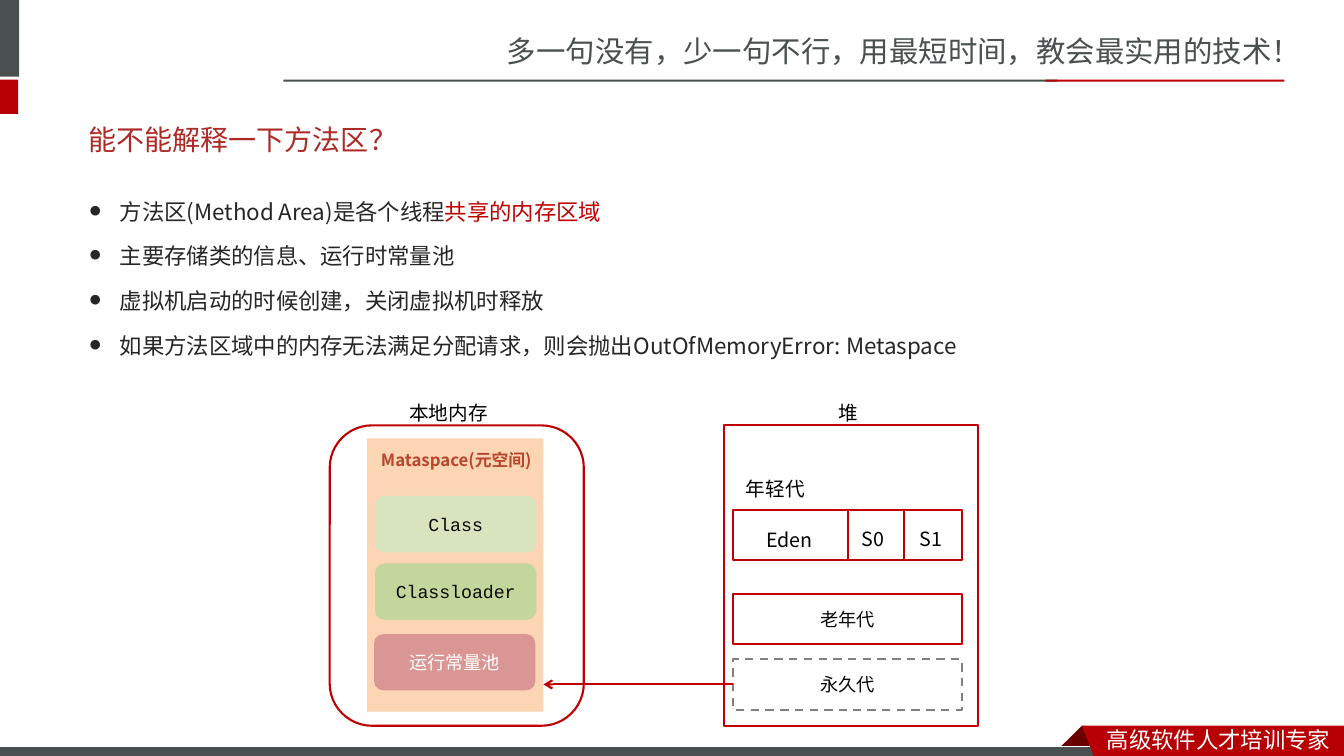
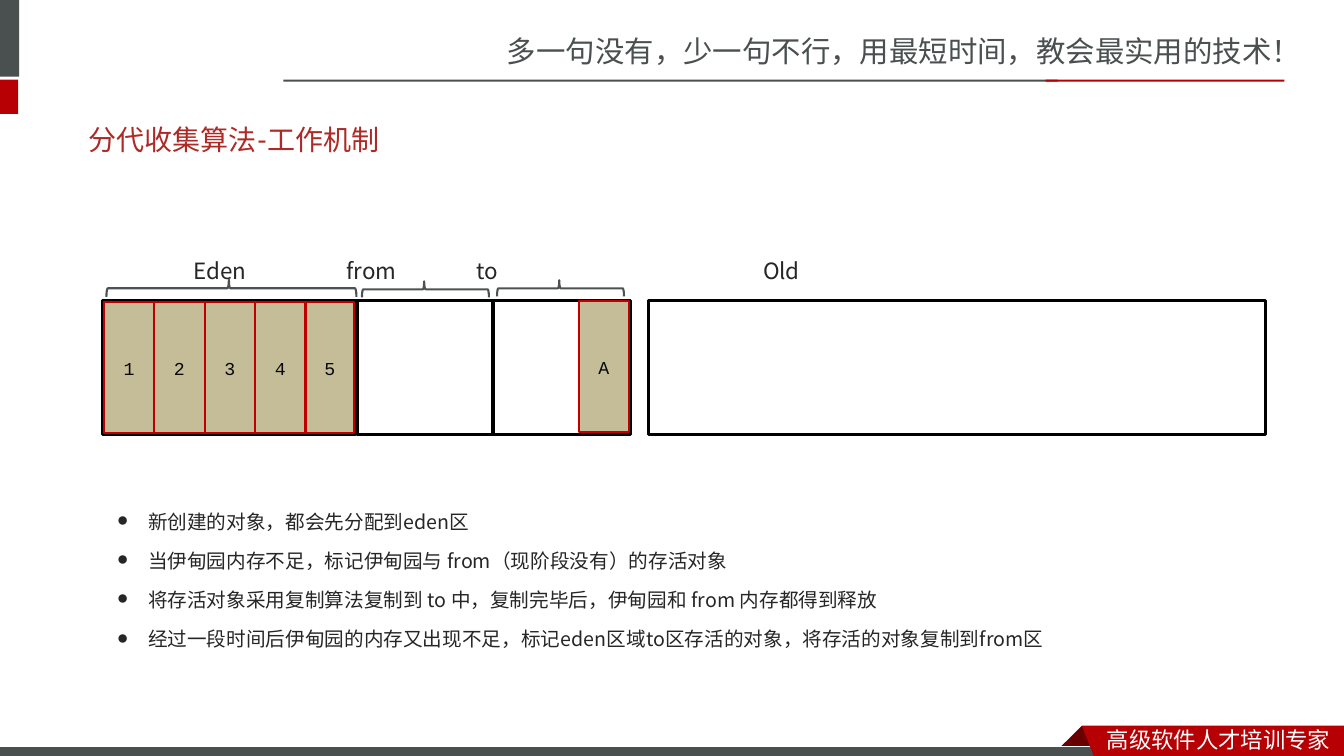
from typing import NamedTuple

from lxml import etree
from pptx import Presentation
from pptx import util as u
from pptx.dml.color import RGBColor
from pptx.enum import dml, shapes, text
from pptx.oxml.ns import qn

PX = 9144  # 100 px to the inch
GREY, BAND, WINE, RED = "49504F", "B60004", "680000", "C00000"
TITLE, BODY, BLACK, WHITE, INK = "AD2A26", "262626", "000000", "FFFFFF", "080808"
SAND, RUST, BRACE, DASH = "C4BD97", "B7472A", "4C5252", "808080"
SC, JP, LATO, MONO = "Noto Sans CJK SC", "Noto Sans CJK JP", "Lato", "Courier New"
RECT = shapes.MSO_SHAPE.RECTANGLE
ROUND = shapes.MSO_SHAPE.ROUNDED_RECTANGLE


class Box(NamedTuple):
    x: int
    y: int
    w: int
    h: int


class Run(NamedTuple):
    text: str
    size: int
    color: str
    font: str = JP
    bold: bool = False


class Part(NamedTuple):
    box: Box
    fill: str = ""
    line: str = ""
    width: float = 1.5
    label: str = ""
    ink: str = INK
    kind: shapes.MSO_SHAPE = RECT
    dash: bool = False


def px(n: int) -> u.Emu:
    return u.Emu(n * PX)


def rgb(code: str) -> RGBColor:
    return RGBColor.from_string(code)


def add_run(para, run: Run) -> None:
    r = para.add_run()
    r.text = run.text
    r.font.size = u.Pt(run.size)
    r.font.name = run.font
    r.font.bold = run.bold
    r.font.color.rgb = rgb(run.color)
    east = SC if run.font in (LATO, MONO) else run.font
    etree.SubElement(r._r.get_or_add_rPr(), qn("a:ea"), typeface=east)


def paint(shape, fill: str = "", line: str = "", width: float = 1.5) -> None:
    shape.shadow.inherit = False
    if fill:
        shape.fill.solid()
        shape.fill.fore_color.rgb = rgb(fill)
    else:
        shape.fill.background()
    if line:
        shape.line.color.rgb = rgb(line)
        shape.line.width = u.Pt(width)
    else:
        shape.line.fill.background()


def add_part(slide, part: Part):
    shape = slide.shapes.add_shape(part.kind, *map(px, part.box))
    paint(shape, part.fill, part.line, part.width)
    if part.dash:
        shape.line.dash_style = dml.MSO_LINE.DASH
    if part.label:
        frame = shape.text_frame
        frame.vertical_anchor = text.MSO_ANCHOR.MIDDLE
        frame.paragraphs[0].alignment = text.PP_ALIGN.CENTER
        add_run(frame.paragraphs[0], Run(part.label, 13, part.ink, MONO))
    return shape


def add_poly(slide, points: list[tuple[int, int]], fill: str) -> None:
    pen = slide.shapes.build_freeform(*points[0], scale=PX)
    pen.add_line_segments(points[1:], close=True)
    paint(pen.convert_to_shape(), fill)


def add_line(slide, start: tuple[int, int], end: tuple[int, int], arrow: bool = False) -> None:
    line = slide.shapes.add_connector(shapes.MSO_CONNECTOR.STRAIGHT, *map(px, start + end))
    line.line.color.rgb = rgb(RED)
    line.line.width = u.Pt(1.5)
    if arrow:
        etree.SubElement(line.line._get_or_add_ln(), qn("a:tailEnd"), type="arrow")
    etree.SubElement(line._element.spPr, qn("a:effectLst"))


def add_text(slide, box: Box, paras: list[list[Run]], spacing: float = 1.0,
             bullet: bool = False, tabs: tuple[int, ...] = (), middle: bool = False) -> None:
    frame = slide.shapes.add_textbox(*map(px, box)).text_frame
    frame.word_wrap = True
    if middle:
        frame.vertical_anchor = text.MSO_ANCHOR.MIDDLE
    for i, runs in enumerate(paras):
        para = frame.add_paragraph() if i else frame.paragraphs[0]
        props = para._p.get_or_add_pPr()
        if bullet:
            props.set("marL", str(px(31)))
            props.set("indent", str(-px(31)))
            etree.SubElement(props, qn("a:buFont"), typeface=MONO)
            etree.SubElement(props, qn("a:buChar"), char="●")
        if tabs:
            stops = etree.SubElement(props, qn("a:tabLst"))
            for tab in tabs:
                etree.SubElement(stops, qn("a:tab"), pos=str(px(tab)), algn="l")
        para.line_spacing = spacing
        if i:
            para.space_before = u.Pt(runs[0].size * 0.2)
        for run in runs:
            add_run(para, run)


def add_brace(slide, box: Box) -> None:
    # A right brace turned to point up; its frame is given before the turn
    x, y = box.x + (box.w - box.h) // 2, box.y + (box.h - box.w) // 2
    brace = add_part(slide, Part(Box(x, y, box.h, box.w), line=BRACE,
                                 kind=shapes.MSO_SHAPE.RIGHT_BRACE))
    brace.rotation = 270
    brace.adjustments[0], brace.adjustments[1] = 0.08, 0.49


def new_slide(deck, title: str):
    slide = deck.slides.add_slide(deck.slide_layouts[6])
    # Header
    add_text(slide, Box(493, 28, 841, 47),
             [[Run("多一句没有，少一句不行，用最短时间，教会最实用的技术！", 21, GREY, SC)]])
    for box, fill in ((Box(-6, 0, 25, 76), GREY), (Box(-6, 79, 24, 34), BAND),
                      (Box(281, 79, 768, 2), GREY), (Box(1037, 79, 237, 2), BAND)):
        add_part(slide, Part(box, fill))
    # Footer ribbon
    add_poly(slide, [(1073, 720), (1095, 742), (1094, 743), (1052, 743), (1051, 742)], WINE)
    add_part(slide, Part(Box(-1, 741, 1100, 12), GREY, WHITE, 0.75))
    add_poly(slide, [(1073, 720), (1333, 720), (1333, 754), (1086, 753)], BAND)
    add_text(slide, Box(1088, 715, 245, 37), [[Run("高级软件人才培训专家", 16, WHITE, SC)]])
    # Title
    add_text(slide, Box(78, 110, 1170, 57), [[Run(title, 20, TITLE, LATO)]], middle=True)
    return slide


def area_slide(deck) -> None:
    slide = new_slide(deck, "能不能解释一下方法区？")
    lines = ["主要存储类的信息、运行时常量池", "虚拟机启动的时候创建，关闭虚拟机时释放",
             "如果方法区域中的内存无法满足分配请求，则会抛出OutOfMemoryError: Metaspace"]
    first = [Run("方法区(Method Area)是各个线程", 16, BODY), Run("共享的内存区域", 16, RED)]
    add_text(slide, Box(78, 178, 1170, 222),
             [first] + [[Run(line, 16, BODY)] for line in lines], 1.5, bullet=True)

    # Heap and native memory
    for part in (
        Part(Box(718, 422, 252, 298), line=RED),
        Part(Box(327, 422, 252, 298), line=RED, kind=ROUND),
        Part(Box(727, 506, 227, 50), line=RED),
        Part(Box(727, 589, 227, 50), line=RED, label="老年代"),
        Part(Box(727, 654, 227, 50), line=DASH, label="永久代", dash=True),
        Part(Box(364, 435, 175, 271), "FCD5B5"),
        Part(Box(372, 492, 160, 56), "D7E4BD", label="Class", kind=ROUND),
        Part(Box(372, 559, 160, 56), "C3D69B", label="Classloader", kind=ROUND),
        Part(Box(371, 629, 160, 56), "D99694", label="运行常量池", ink=WHITE, kind=ROUND),
    ):
        add_part(slide, part)
    for x in (841, 897):
        add_line(slide, (x, 506), (x, 557))
    add_line(slide, (727, 679), (539, 679), arrow=True)

    # Labels
    for x, y, w, label in ((396, 381, 113, "本地内存"), (822, 381, 46, "堆"),
                           (750, 507, 72, "Eden"), (845, 506, 62, "S0"),
                           (902, 506, 62, "S1"), (730, 457, 125, "年轻代")):
        add_text(slide, Box(x, y, w, 42), [[Run(label, 14, BLACK)]], 1.5)
    add_text(slide, Box(368, 431, 189, 49),
             [[Run("Mataspace(元空间)", 12, RUST, bold=True)]], 1.5)


def collect_slide(deck) -> None:
    slide = new_slide(deck, "分代收集算法-工作机制")
    add_text(slide, Box(149, 237, 1003, 57), [[Run("\tEden\tfrom\tto\tOld", 16, BODY)]],
             1.5, tabs=(33, 185, 314, 598))

    # Regions
    for x, w in ((102, 251), (354, 135), (489, 136), (643, 612)):
        add_part(slide, Part(Box(x, 298, w, 133), line=BLACK, width=2.25))
    for box in (Box(106, 278, 248, 17), Box(359, 279, 126, 16), Box(493, 278, 126, 16)):
        add_brace(slide, box)

    # Objects
    add_part(slide, Part(Box(574, 299, 50, 130), SAND, RED, label="A"))
    for i in range(5):
        x = 103 + 50 * i
        add_part(slide, Part(Box(x, 300, min(50, 351 - x), 130), SAND, RED, label=str(i + 1)))

    # Steps
    steps = ["新创建的对象，都会先分配到eden区",
             "当伊甸园内存不足，标记伊甸园与 from（现阶段没有）的存活对象",
             "将存活对象采用复制算法复制到 to 中，复制完毕后，伊甸园和 from 内存都得到释放",
             "经过一段时间后伊甸园的内存又出现不足，标记eden区域to区存活的对象，将存活的对象复制到from区"]
    add_text(slide, Box(106, 489, 1068, 186),
             [[Run(step, 14, BODY)] for step in steps], 1.5, bullet=True)


def main() -> None:
    deck = Presentation()
    deck.slide_width, deck.slide_height = px(1333), px(750)
    area_slide(deck)
    collect_slide(deck)
    deck.save("out.pptx")


if __name__ == "__main__":
    main()
